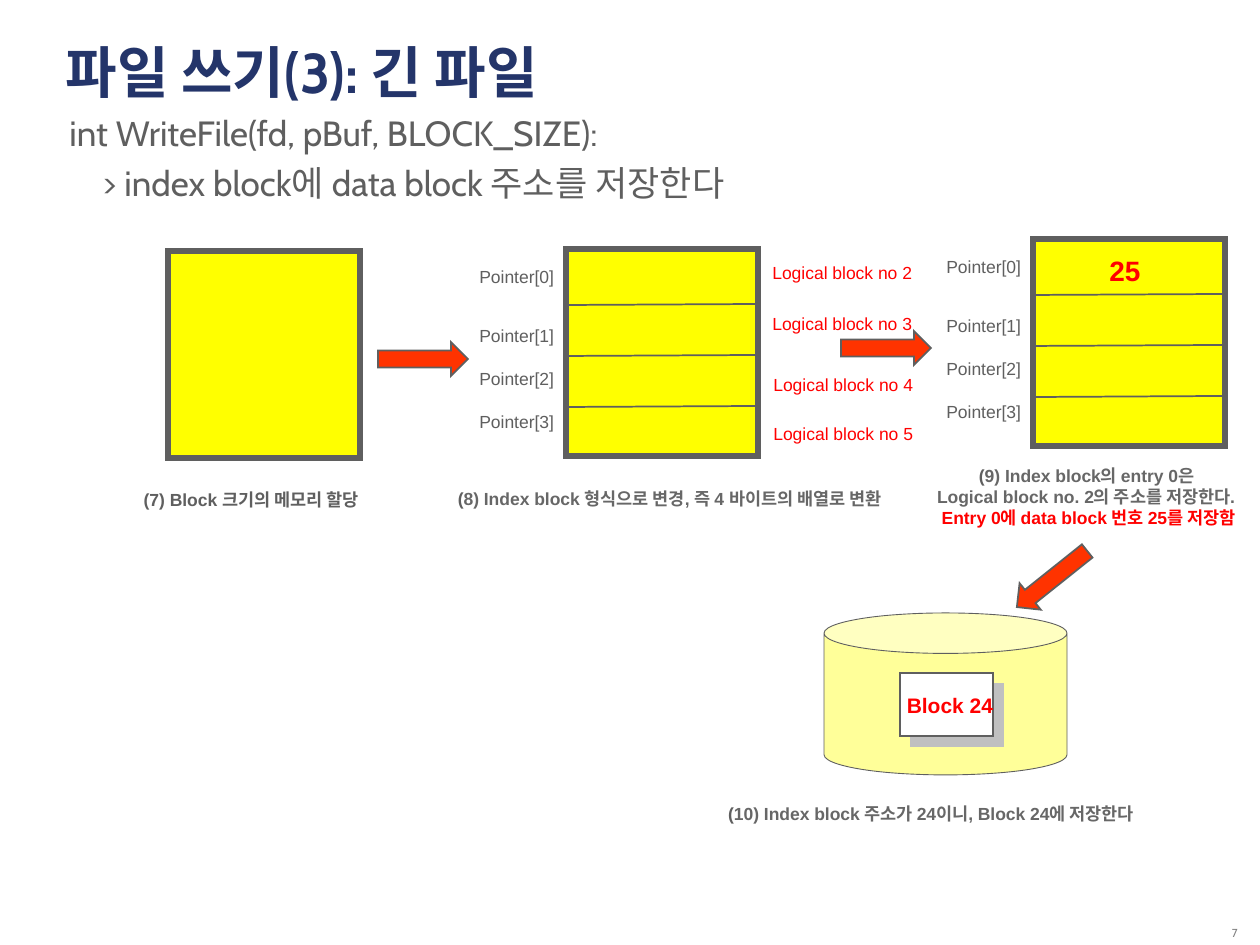
from lxml import etree
from pptx import Presentation, util as u
from pptx.dml.color import RGBColor
from pptx.enum import shapes as kinds, text as t
from pptx.oxml import parse_xml
from pptx.oxml.ns import qn

PX = u.Inches(1) / 126
GRAY, DARK, RED, YELLOW, ORANGE = "5F5F5F", "676767", "FF0000", "FFFF00", "FF3300"
LEFT, CENTER, RIGHT = t.PP_ALIGN.LEFT, t.PP_ALIGN.CENTER, t.PP_ALIGN.RIGHT

prs = Presentation()
prs.slide_width, prs.slide_height = u.Inches(10), u.Inches(7.5)
slide = prs.slides.add_slide(prs.slide_layouts[5])


def write(box, lines, size, color=GRAY, bold=False, align=LEFT, font="Arial", wrap=False):
    """Fill a text shape; each line is a string or a list of (words, color) runs."""
    frame = box.text_frame
    frame.word_wrap = wrap
    for i, line in enumerate(lines):
        para = frame.paragraphs[0] if i == 0 else frame.add_paragraph()
        para.alignment = align
        for words, run_color in [(line, color)] if isinstance(line, str) else line:
            run = para.add_run()
            run.text = words
            for name, value in dict(name=font, size=u.Pt(size), bold=bold).items():
                setattr(run.font, name, value)
            run.font.color.rgb = RGBColor.from_string(run_color)
    return frame


def draw(kind, x, y, w, h, fill, weight=1):
    part = slide.shapes.add_shape(kind, *(round(v * PX) for v in (x, y, w, h)))
    part.shadow.inherit = False
    part.fill.solid()
    part.fill.fore_color.rgb = RGBColor.from_string(fill)
    part.line.color.rgb = RGBColor.from_string(GRAY)
    part.line.width = u.Pt(weight)
    etree.SubElement(part._element.spPr.find(qn("a:ln")), qn("a:miter"), lim="800000")
    return part


# Heading, subtitle and page number
title = slide.shapes.title
for side, length in dict(left=53, top=31, width=1138, height=154).items():
    setattr(title, side, round(length * PX))
heading = write(title, ["파일 쓰기(3): 긴 파일"], 32, "24356A", True, font="Cabin", wrap=True)
heading.vertical_anchor = t.MSO_ANCHOR.TOP
heading.auto_size = t.MSO_AUTO_SIZE.NONE

call = slide.shapes.add_textbox(*(round(v * PX) for v in (57, 105, 1153, 115)))
call_lines = ["int WriteFile(fd, pBuf, BLOCK_SIZE):", "> index block에 data block 주소를 저장한다"]
for para in write(call, call_lines, 20, font="Cabin", wrap=True).paragraphs:
    para.space_before = u.Pt(5)
para._p.get_or_add_pPr().set("marL", str(round(33 * PX)))

page = slide.shapes.add_textbox(*(round(v * PX) for v in (1124, 914, 126, 32)))
number = write(page, ["7"], 6.6, "808080", align=RIGHT, font="Cabin", wrap=True)
number.vertical_anchor = t.MSO_ANCHOR.BOTTOM
number.paragraphs[0].line_spacing = 0.8

# Memory block, then the two index blocks with their pointer entries
BLOCK_W, BLOCK_H = 192, 207
draw(kinds.MSO_SHAPE.RECTANGLE, 168, 251, BLOCK_W, BLOCK_H, YELLOW, 3)
labels = []
for block_x, block_y in [(566, 249), (1033, 239)]:
    draw(kinds.MSO_SHAPE.RECTANGLE, block_x, block_y, BLOCK_W, BLOCK_H, YELLOW, 3)
    for row, shift in enumerate([2, 0, 2]):
        x, y = block_x + shift, block_y + 56 + 51 * row
        ends = (x, y, x + 190, y - 1)
        divider = slide.shapes.add_connector(
            kinds.MSO_CONNECTOR.STRAIGHT, *(round(v * PX) for v in ends))
        divider.line.color.rgb = RGBColor.from_string(GRAY)
        divider.line.width = u.Pt(1)
        etree.SubElement(divider._element.spPr, qn("a:effectLst"))
    for entry, offset in enumerate([11, 70, 113, 156]):
        labels.append((block_x - 99, block_y + offset, 100, 34, [f"Pointer[{entry}]"], 10, GRAY, False, LEFT))

# Steps from left to right and down to the disk
for x, y, angle in [(378, 342, 0), (841, 331, 0), (1007, 562, 141.4)]:
    draw(kinds.MSO_SHAPE.RIGHT_ARROW, x, y, 90, 34, ORANGE).rotation = angle

draw(kinds.MSO_SHAPE.CAN, 824, 613, 243, 162, "FFFF99", 0.5)
disk_block = draw(kinds.MSO_SHAPE.RECTANGLE, 900, 673, 93, 63, "FFFFFF")
disk_block._element.spPr.find(qn("a:effectLst")).append(parse_xml(
    '<a:outerShdw xmlns:a="http://schemas.openxmlformats.org/drawingml/2006/main" '
    f'dist="{u.Pt(8.5)}" dir="2700000" algn="ctr" rotWithShape="0">'
    '<a:srgbClr val="C0C0C0"/></a:outerShdw>'))

for block_no, (x, y) in enumerate([(760, 256), (760, 307), (761, 368), (761, 417)], 2):
    labels.append((x, y, 165, 34, [f"Logical block no {block_no}"], 10, RED, False, LEFT))

labels += [
    (1097, 247, 68, 47, ["25"], 16, RED, True, LEFT),
    (890, 686, 120, 38, ["Block 24"], 12, RED, True, CENTER),
    (128, 483, 246, 34, ["(7) Block 크기의 메모리 할당"], 10, GRAY, True, CENTER),
    (433, 482, 473, 34, [[("(", GRAY), ("8) Index block 형식으로 변경, 즉 4 바이트의 배열로 변환", DARK)]],
     10, GRAY, True, CENTER),
    (917, 459, 343, 76, [[("(", GRAY), ("9) Index block의 entry 0은 ", DARK)],
                         [("Logical block no. 2의 주소를 저장한다. ", DARK)],
                         [("Entry 0에 data block 번호 25를 저장함", RED)]],
     10, GRAY, True, CENTER),
    (704, 797, 454, 34, [[("(", GRAY), ("10) Index block 주소가 24이니, Block 24에 저장한다", DARK)]],
     10, GRAY, True, CENTER),
]
for *place, lines, size, color, bold, align in labels:
    label = slide.shapes.add_textbox(*(round(v * PX) for v in place))
    frame = write(label, lines, size, color, bold, align)
    frame.auto_size = t.MSO_AUTO_SIZE.SHAPE_TO_FIT_TEXT

prs.save("out.pptx")
